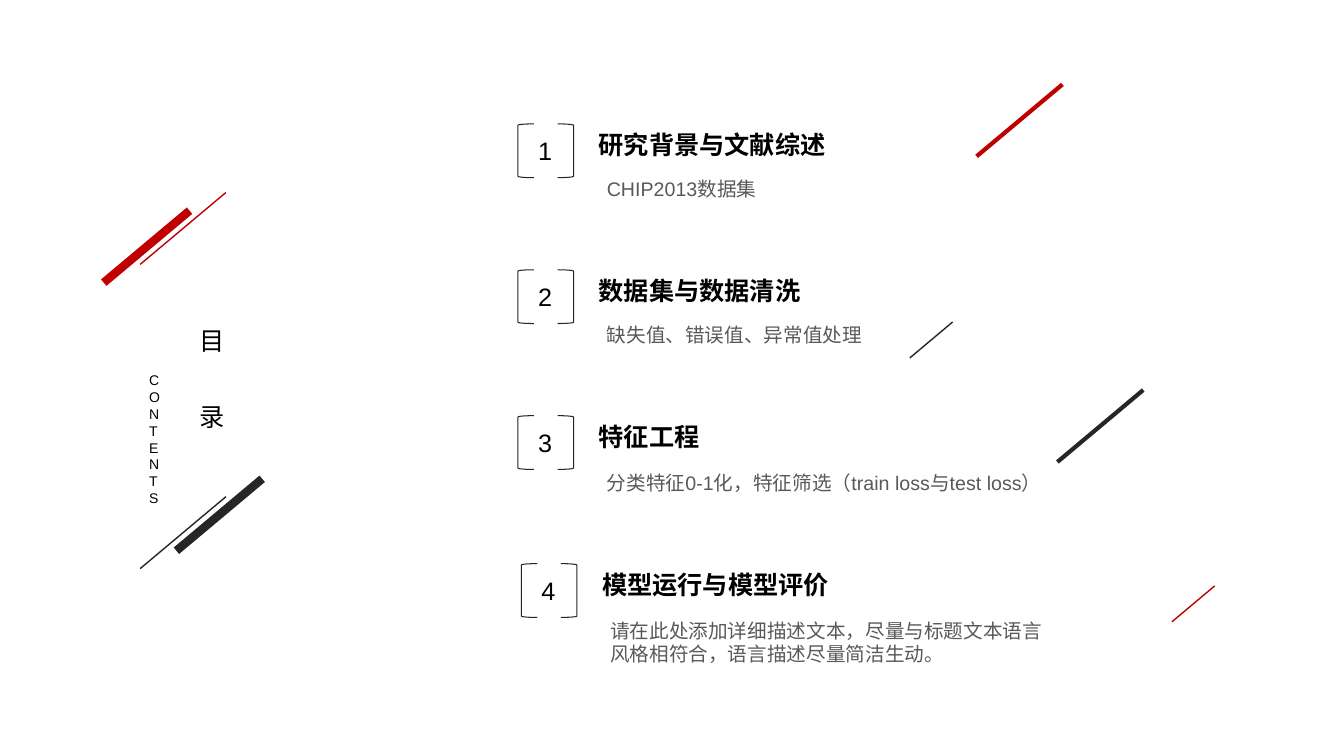
"""Build a contents slide with four bracketed entries and slanted accent lines."""
from pptx import Presentation
from pptx.dml.color import RGBColor
from pptx.enum.shapes import MSO_CONNECTOR, MSO_SHAPE
from pptx.enum.text import MSO_AUTO_SIZE
from pptx.oxml.ns import qn
from pptx.util import Pt
from lxml import etree

STRAIGHT = MSO_CONNECTOR.STRAIGHT
LEFT_BRACKET = MSO_SHAPE.LEFT_BRACKET
RIGHT_BRACKET = MSO_SHAPE.RIGHT_BRACKET
GROW = MSO_AUTO_SIZE.SHAPE_TO_FIT_TEXT

RED, DARK, GREY, BLACK = "C00000", "262626", "595959", "000000"

# title, title width, description, description offset and height, left shift
ENTRIES = [
    ("研究背景与文献综述", 178, "CHIP2013数据集", 34.3, 24.2, 0),
    ("数据集与数据清洗", 163, "缺失值、错误值、异常值处理", 34.3, 24.2, 0),
    ("特征工程", 87, "分类特征0-1化，特征筛选（train loss与test loss）", 35.8, 24.2, 0),
    ("模型运行与模型评价", 178,
     "请在此处添加详细描述文本，尽量与标题文本语言风格相符合，语言描述尽量简洁生动。",
     35.8, 41, 2.4),
]
ENTRY_LEFT = 370
ENTRY_TOPS = (88.5, 192.7, 296.9, 402.6)
BRACKET_WIDTH, BRACKET_HEIGHT, BRACKET_STEP = 11.4, 38.4, 28.3

# right end x, top y, scale, colour, weight
SLANTS = [
    [(135.4, 150.5, 1, RED, 6), (161.4, 137.5, 1, RED, 1)],
    [(187.3, 342, 1, DARK, 6), (161.4, 354.8, 1, DARK, 1)],
    [(758.9, 60.3, 1, RED, 3)],
    [(680.5, 230, 0.5, DARK, 1)],
    [(867.7, 418.5, 0.5, RED, 1)],
    [(816.6, 278.6, 1, DARK, 3)],
]
SLANT_WIDTH, SLANT_HEIGHT = 61.3, 51.4

HEADING = {"size": Pt(18), "name": "Arial"}
TITLE = {**HEADING, "bold": True}
DETAIL = {"size": Pt(14), "name": "Arial"}
CAPTION = {"size": Pt(10), "name": "Arial"}


def colour(value):
    return RGBColor.from_string(value)


def add_text(shapes, lines, place, style, ink=BLACK, wrap=False, spacing=None):
    box = shapes.add_textbox(*map(Pt, place))
    frame = box.text_frame
    frame.word_wrap = wrap
    frame.auto_size = GROW
    for index, line in enumerate(lines):
        para = frame.add_paragraph() if index else frame.paragraphs[0]
        para.line_spacing = spacing
        span = para.add_run()
        span.text = line
        for key, value in style.items():
            setattr(span.font, key, value)
        span.font.color.rgb = colour(ink)


def add_slant(shapes, right, top, scale, ink, weight):
    line = shapes.add_connector(
        STRAIGHT, Pt(right), Pt(top),
        Pt(right - SLANT_WIDTH * scale), Pt(top + SLANT_HEIGHT * scale))
    line.line.color.rgb = colour(ink)
    line.line.width = Pt(weight)
    etree.SubElement(line._element.spPr, qn("a:effectLst"))


def add_entry(shapes, number, top, entry):
    title, title_width, detail, detail_offset, detail_height, shift = entry
    left = ENTRY_LEFT + shift
    add_text(shapes, [str(number)], (left + 7.3, top + 4.8, 24.5, 29), HEADING)
    for side, kind in enumerate((LEFT_BRACKET, RIGHT_BRACKET)):
        bracket = shapes.add_shape(
            kind, Pt(left + side * BRACKET_STEP), Pt(top),
            Pt(BRACKET_WIDTH), Pt(BRACKET_HEIGHT))
        bracket.shadow.inherit = False
        bracket.fill.background()
        bracket.line.color.rgb = colour(DARK)
        bracket.line.width = Pt(0.75)
    add_text(shapes, [title], (left + 50.6, top + 0.3, title_width, 29), TITLE)
    add_text(shapes, [detail], (left + 56.4, top + detail_offset, 329, detail_height),
             DETAIL, GREY, wrap=True)


def main():
    deck = Presentation()
    deck.slide_width, deck.slide_height = Pt(960), Pt(540)
    page = deck.slides.add_slide(deck.slide_layouts[6])
    for cluster in SLANTS:
        shapes = page.shapes.add_group_shape().shapes if len(cluster) > 1 else page.shapes
        for slant in cluster:
            add_slant(shapes, *slant)
    add_text(page.shapes, ["目", "录"], (135.4, 196.6, 32.4, 107.3), HEADING, spacing=2.5)
    add_text(page.shapes, ["CONTENTS"], (99.4, 262, 18, 104.4), CAPTION, wrap=True)
    for number, (top, entry) in enumerate(zip(ENTRY_TOPS, ENTRIES), 1):
        add_entry(page.shapes.add_group_shape().shapes, number, top, entry)
    deck.save("out.pptx")


if __name__ == "__main__":
    main()
